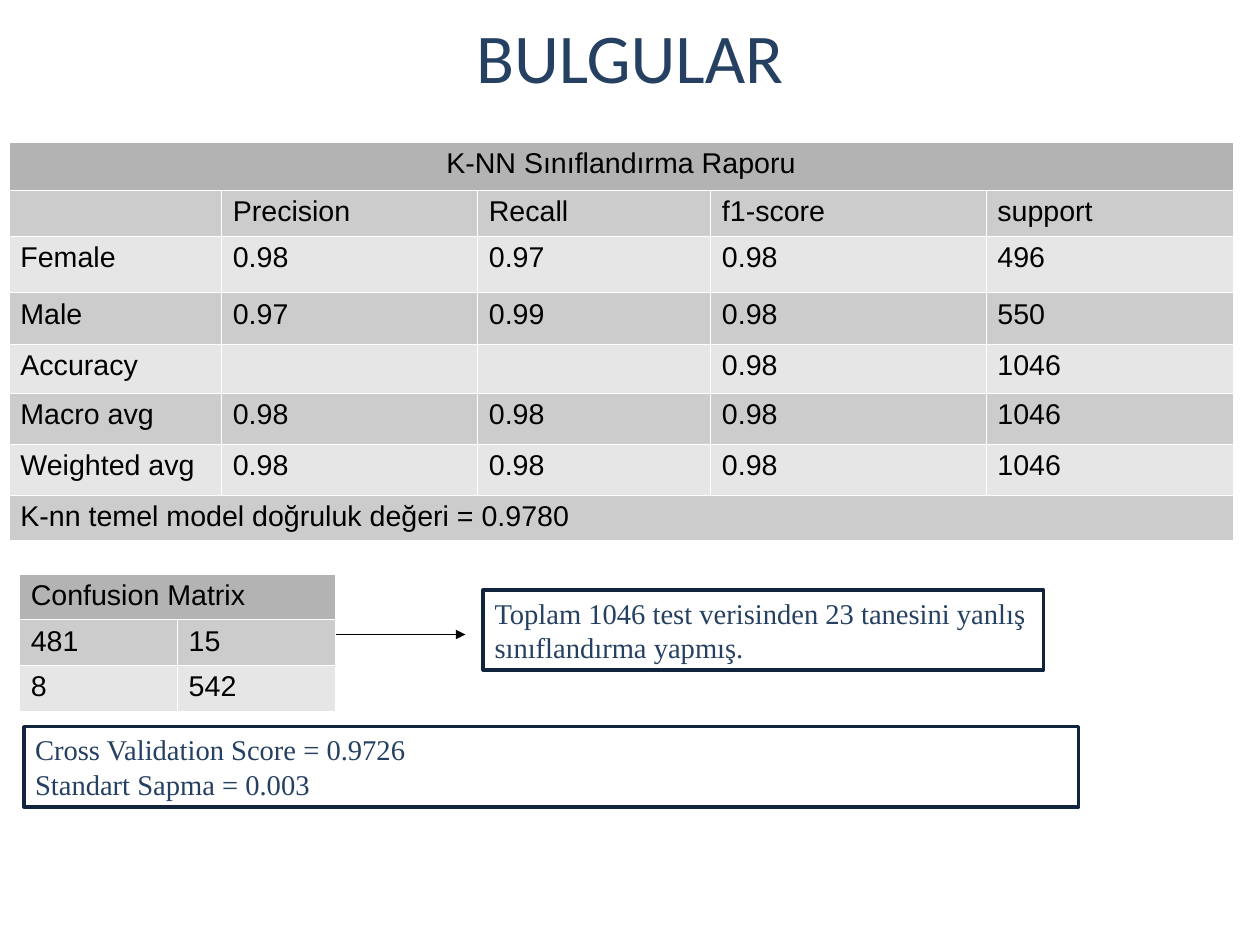
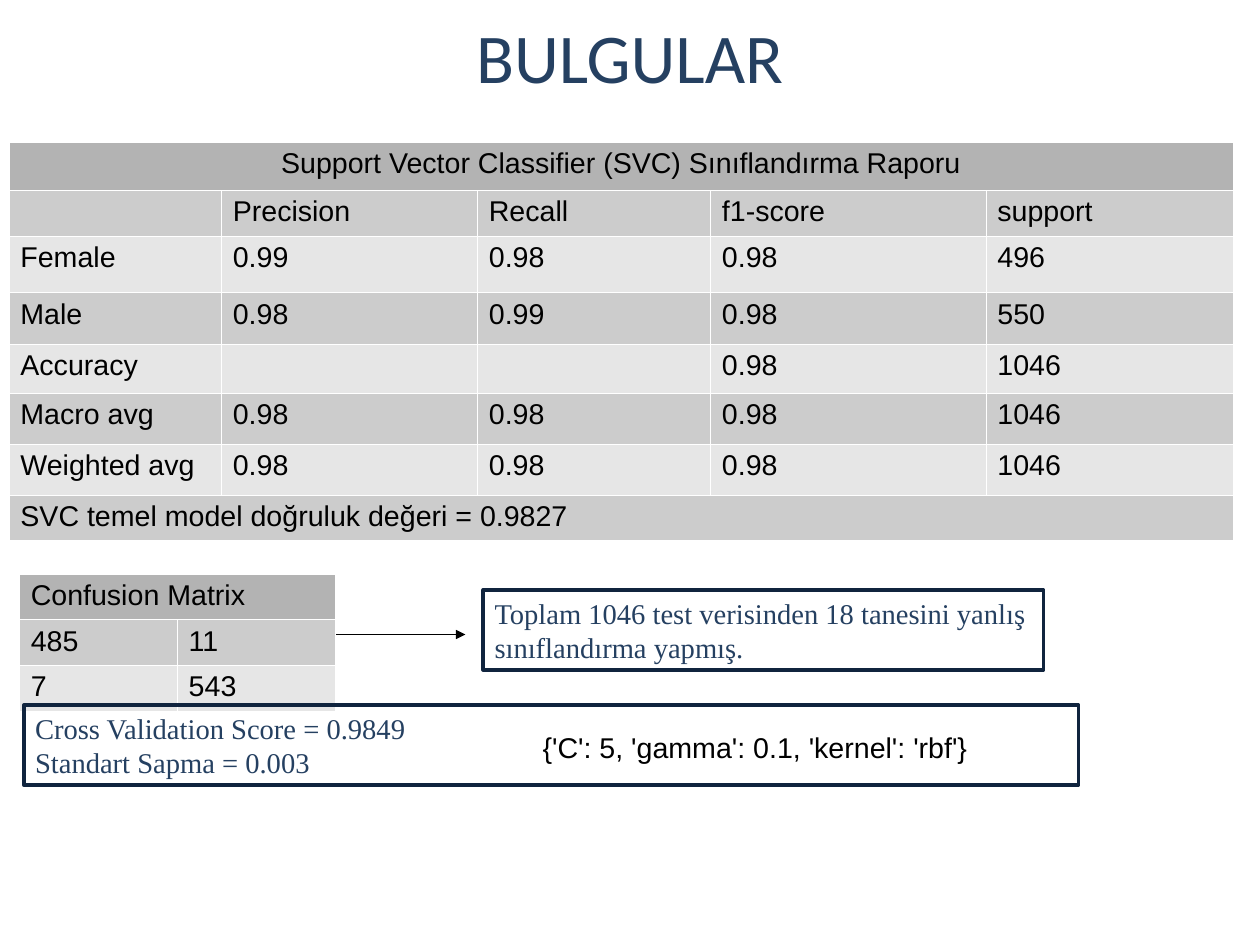
from pptx import Presentation
from pptx.dml.color import RGBColor
from pptx.enum import shapes, text
from pptx.oxml import parse_xml
from pptx.oxml.ns import nsdecls, qn
from pptx.util import Cm, Pt

COLOURS = {
    "title": "254061",
    "frame": "10243E",
    "text": "000000",
    "border": "FFFFFF",
    "heading_row": "B3B3B3",
    "dark_row": "CCCCCC",
    "light_row": "E6E6E6",
}
BORDER_WIDTH = 720  # EMU, a hairline
REPORT_COLUMNS = [4.72, 5.69, 5.18, 6.12, 5.49]
REPORT_ROWS = [1.08, 1, 1.25, 1.14, 1.1, 1.13, 1.13, 1]
MATRIX_COLUMNS = [3.51] * 2
MATRIX_ROWS = [0.97] * 3
NOTE_FORMAT = {"font": "Times New Roman", "colour": "title", "frame": True}


def rgb(name):
    return RGBColor.from_string(COLOURS[name])


def write_text(frame, content, font="Arial", size=18, colour="text",
               align=text.PP_ALIGN.LEFT):
    """Fill a text frame; each line of the content is a paragraph."""
    for index, line in enumerate(content.split("\n")):
        paragraph = frame.add_paragraph() if index else frame.paragraphs[0]
        paragraph.text = line
        paragraph.alignment = align
        paragraph.font.name = font
        paragraph.font.size = Pt(size)
        paragraph.font.bold = False
        paragraph.font.color.rgb = rgb(colour)


def add_text(slide, content, left, top, width, height, frame=False,
             anchor=text.MSO_ANCHOR.TOP, **text_format):
    box = Cm(left), Cm(top), Cm(width), Cm(height)
    if frame:
        shape = slide.shapes.add_shape(shapes.MSO_SHAPE.RECTANGLE, *box)
        shape.shadow.inherit = False
        shape.fill.background()
        shape.line.color.rgb = rgb("frame")
        shape.line.width = Pt(2.25)
    else:
        shape = slide.shapes.add_textbox(*box)
    shape.text_frame.word_wrap = True
    shape.text_frame.vertical_anchor = anchor
    write_text(shape.text_frame, content, **text_format)


def set_borders(cell):
    properties = cell._tc.get_or_add_tcPr()
    for index, side in enumerate(("lnL", "lnR", "lnT", "lnB")):
        properties.insert(index, parse_xml(
            f'<a:{side} {nsdecls("a")} w="{BORDER_WIDTH}"><a:solidFill>'
            f'<a:srgbClr val="{COLOURS["border"]}"/></a:solidFill></a:{side}>'))


def add_banded_table(slide, rows, left, top, widths, heights,
                     heading_align=text.PP_ALIGN.LEFT):
    """Draw a table; a row with a single value spans all columns."""
    table = slide.shapes.add_table(
        len(heights), len(widths), Cm(left), Cm(top),
        Cm(sum(widths)), Cm(sum(heights))).table
    table.first_row = table.horz_banding = False
    for column, width in zip(table.columns, widths):
        column.width = Cm(width)
    for index, (values, height) in enumerate(zip(rows, heights)):
        table.rows[index].height = Cm(height)
        fill = ("heading_row" if index == 0
                else "dark_row" if index % 2 else "light_row")
        cells = list(table.rows[index].cells)
        for cell in cells:
            cell.fill.solid()
            cell.fill.fore_color.rgb = rgb(fill)
            set_borders(cell)
        if len(values) == 1:
            cells[0].merge(cells[-1])
        align = text.PP_ALIGN.LEFT if index else heading_align
        for cell, value in zip(cells, values):
            write_text(cell.text_frame, value, align=align)


def add_arrow(slide, left, right, y):
    arrow = slide.shapes.add_connector(
        shapes.MSO_CONNECTOR.STRAIGHT, Cm(left), Cm(y), Cm(right), Cm(y))
    arrow.line.color.rgb = rgb("text")
    properties = arrow._element.spPr
    line = properties.find(qn("a:ln"))
    line.set("w", "0")
    line.append(parse_xml(f'<a:tailEnd {nsdecls("a")} type="triangle"/>'))
    properties.append(parse_xml(f'<a:effectLst {nsdecls("a")}/>'))


def add_findings(presentation, model, accuracy, female, male, matrix, errors,
                 score, score_top):
    slide = presentation.slides.add_slide(presentation.slide_layouts[6])
    add_text(slide, "BULGULAR", 0, 0, 28, 2.49, font="Calibri", size=44,
             colour="title", align=text.PP_ALIGN.CENTER,
             anchor=text.MSO_ANCHOR.MIDDLE)

    # Classification report
    report = [
        [f"{model} Sınıflandırma Raporu"],
        ["", "Precision", "Recall", "f1-score", "support"],
        ["Female", *female, "0.98", "496"],
        ["Male", *male, "0.98", "550"],
        ["Accuracy", "", "", "0.98", "1046"],
        *([name, "0.98", "0.98", "0.98", "1046"]
          for name in ("Macro avg", "Weighted avg")),
        [accuracy],
    ]
    add_banded_table(slide, report, 0.2, 3.15, REPORT_COLUMNS, REPORT_ROWS,
                     heading_align=text.PP_ALIGN.CENTER)

    # Confusion matrix and its reading
    add_banded_table(slide, [["Confusion Matrix"], *matrix], 0.43, 12.75,
                     MATRIX_COLUMNS, MATRIX_ROWS)
    add_arrow(slide, 7.47, 10.34, 14.1)
    add_text(slide, f"Toplam 1046 test verisinden {errors} tanesini yanlış "
             "sınıflandırma yapmış.", 10.74, 13.11, 12.45, 1.78, **NOTE_FORMAT)

    # Cross validation
    add_text(slide, f"Cross Validation Score = {score}\nStandart Sapma = 0.003",
             0.53, score_top, 23.44, 1.78, **NOTE_FORMAT)
    return slide


def main():
    presentation = Presentation()
    presentation.slide_width, presentation.slide_height = Cm(28), Cm(21)

    add_findings(
        presentation, "K-NN", "K-nn temel model doğruluk değeri = 0.9780",
        female=["0.98", "0.97"], male=["0.97", "0.99"],
        matrix=[["481", "15"], ["8", "542"]], errors=23,
        score="0.9726", score_top=16.15)

    svc_slide = add_findings(
        presentation, "Support Vector Classifier (SVC)",
        "SVC temel model doğruluk değeri = 0.9827",
        female=["0.99", "0.98"], male=["0.98", "0.99"],
        matrix=[["485", "11"], ["7", "543"]], errors=18,
        score="0.9849", score_top=15.67)
    add_text(svc_slide, "{'C': 5, 'gamma': 0.1, 'kernel': 'rbf'}",
             11.81, 16.1, 9.96, 0.97)

    presentation.save("out.pptx")


if __name__ == "__main__":
    main()
